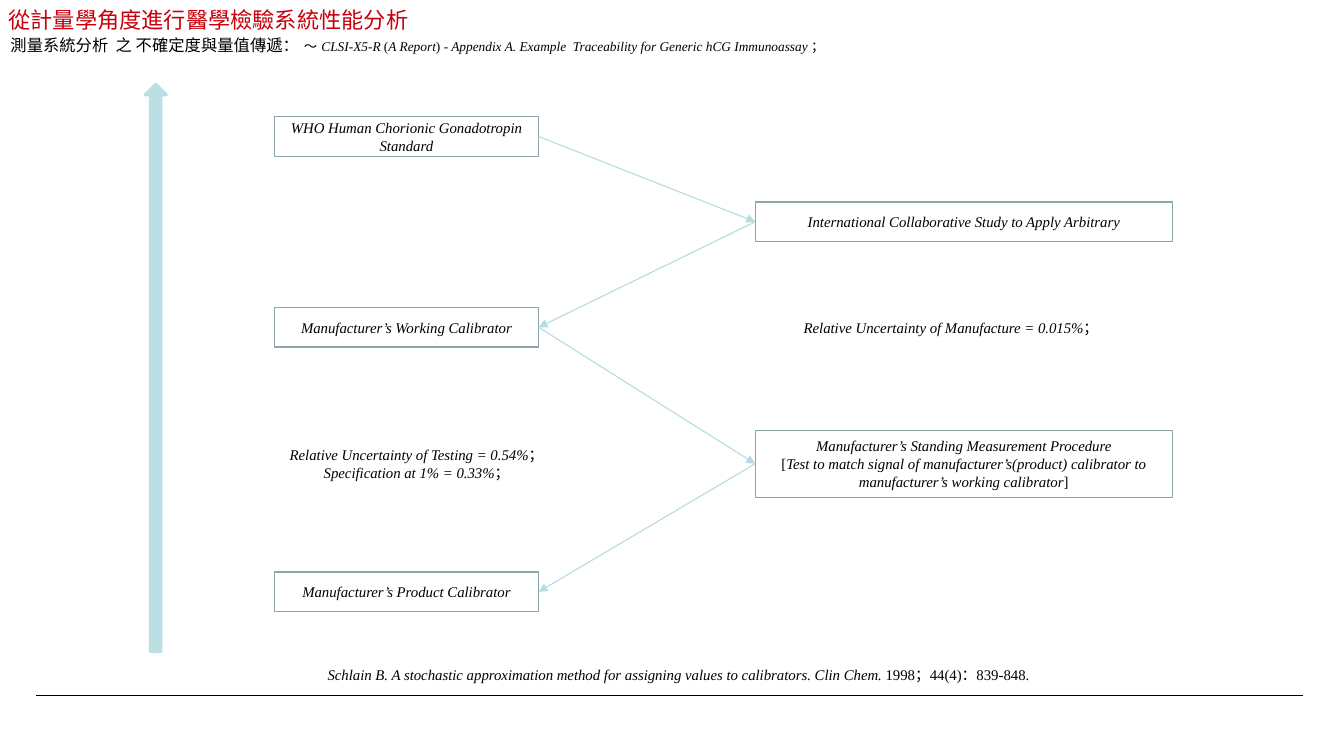
import pptx
import pptx.util
import pptx.dml.color
import pptx.enum.shapes
import pptx.enum.text
import pptx.oxml
import pptx.oxml.ns
import itertools

SANS, SERIF = "Arial", "Times New Roman"
BLACK, RED, TEAL, ARROW, BORDER = "000000", "C7000B", "BBE0E3", "B6DCDF", "8AA6A8"
WIDTH, HEIGHT = 12.6, 7.09

# Content: paragraphs are lists of (text, size, font, italic)
def italic(text, size=10):
    return text, size, SERIF, True


def upright(text, size=10):
    return text, size, SERIF, False


title = [[("從計量學角度進行醫學檢驗系統性能分析", 15, SANS, False)]]
subtitle = [[
    ("測量系統分析  之 不確定度與量值傳遞：", 11, SANS, False),
    (" ", 13, SANS, False), ("～", 9, SANS, False), (" ", 13, SANS, False),
    italic("CLSI-X5-R ", 9), upright("(", 9), italic("A Report", 9), upright(") ", 9),
    italic("- Appendix A. Example  Traceability for Generic hCG Immunoassay ", 9),
    upright("；", 9),
]]

# Columns are (left, width); a step is (column, row centre, height, text)
materials, procedures = (2.57, 2.48), (7.08, 3.91)
ROW = 0.37
steps = [
    (materials, 1.28, ROW, [[italic("WHO Human Chorionic Gonadotropin Standard")]]),
    (procedures, 2.08, ROW, [[italic("International Collaborative Study to Apply Arbitrary")]]),
    (materials, 3.07, ROW, [[italic("Manufacturer’s Working Calibrator")]]),
    (procedures, 4.35, 0.63, [
        [italic("Manufacturer’s Standing Measurement Procedure")],
        [upright("["),
         italic("Test to match signal of manufacturer’s(product) calibrator to "
                "manufacturer’s working calibrator"),
         upright("]")],
    ]),
    (materials, 5.55, ROW, [[italic("Manufacturer’s Product Calibrator")]]),
]
uncertainties = [
    ((7.08, 3.67), 3.07, ROW,
     [[italic("Relative Uncertainty of Manufacture = 0.015%"), upright("；")]]),
    ((2.27, 3.27), 4.35, 0.43,
     [[italic("Relative Uncertainty of Testing = 0.54%"), upright("；")],
      [italic("Specification at 1% = 0.33%"), upright("；")]]),
]
citation = [[
    italic("Schlain B. A stochastic approximation method for assigning values "
           "to calibrators. Clin Chem. "),
    upright("1998；44(4)：839-848."),
]]

presentation = pptx.Presentation()
presentation.slide_width = pptx.util.Inches(WIDTH)
presentation.slide_height = pptx.util.Inches(HEIGHT)
slide = presentation.slides.add_slide(presentation.slide_layouts[6])


def color(value):
    return pptx.dml.color.RGBColor.from_string(value)


def inches(*lengths):
    return [pptx.util.Inches(length) for length in lengths]


def write(shape, paragraphs, centred=True, middle=True, ink=BLACK):
    frame = shape.text_frame
    frame.word_wrap = True
    anchor = pptx.enum.text.MSO_ANCHOR
    frame.vertical_anchor = anchor.MIDDLE if middle else anchor.TOP
    align = pptx.enum.text.PP_ALIGN
    for index, pieces in enumerate(paragraphs):
        paragraph = frame.add_paragraph() if index else frame.paragraphs[0]
        paragraph.alignment = align.CENTER if centred else align.LEFT
        for text, size, font, slanted in pieces:
            run = paragraph.add_run()
            run.text = text
            run.font.size = pptx.util.Pt(size)
            run.font.name = font
            run.font.italic = slanted
            run.font.color.rgb = color(ink)


def add_text(left, top, width, height, paragraphs, **style):
    write(slide.shapes.add_textbox(*inches(left, top, width, height)), paragraphs, **style)


def add_shape(kind, left, top, width, height, line, weight):
    shape = slide.shapes.add_shape(kind, *inches(left, top, width, height))
    shape.shadow.inherit = False
    shape.line.color.rgb = color(line)
    shape.line.width = pptx.util.Pt(weight)
    return shape


def add_line(start, end, line, weight, arrow=False):
    connector = slide.shapes.add_connector(
        pptx.enum.shapes.MSO_CONNECTOR.STRAIGHT, *inches(*start, *end))
    connector.line.color.rgb = color(line)
    connector.line.width = pptx.util.Pt(weight)
    if arrow:
        tail = pptx.oxml.ns.qn("a:tailEnd")
        connector.line._get_or_add_ln().makeelement(tail)
        head = connector.line._get_or_add_ln().makeelement(tail, {"type": "triangle"})
        connector.line._get_or_add_ln().append(head)
    properties = connector._element.spPr
    properties.append(properties.makeelement(pptx.oxml.ns.qn("a:effectLst")))


# Footer rule and headings
add_line((0.34, 6.52), (12.22, 6.52), BLACK, 0.5)
add_text(-0.02, -0.05, 9.32, 0.47, title, centred=False, ink=RED)
add_text(0, 0.25, 8.76, 0.32, subtitle, centred=False, middle=False)

# Upward traceability arrow
traceability = add_shape(pptx.enum.shapes.MSO_SHAPE.UP_ARROW, 1.36, 0.79, 0.2, 5.32, TEAL, 2)
traceability.fill.solid()
traceability.fill.fore_color.rgb = color(TEAL)

# Boxes of the calibration chain
for (left, width), centre, height, paragraphs in steps:
    box = add_shape(pptx.enum.shapes.MSO_SHAPE.RECTANGLE,
                    left, centre - height / 2, width, height, BORDER, 0.75)
    box.fill.background()
    write(box, paragraphs)

# Zigzag arrows between the facing edges of consecutive boxes
facing_edge = {materials: sum(materials), procedures: procedures[0]}
for (column, centre, *_), (next_column, next_centre, *_) in itertools.pairwise(steps):
    add_line((facing_edge[column], centre), (facing_edge[next_column], next_centre),
             ARROW, 0.75, arrow=True)

# Uncertainty notes and citation
for (left, width), centre, height, paragraphs in uncertainties:
    add_text(left, centre - height / 2, width, height, paragraphs)
add_text(2.15, 6.19, 8.42, 0.27, citation, middle=False)

presentation.save("out.pptx")
